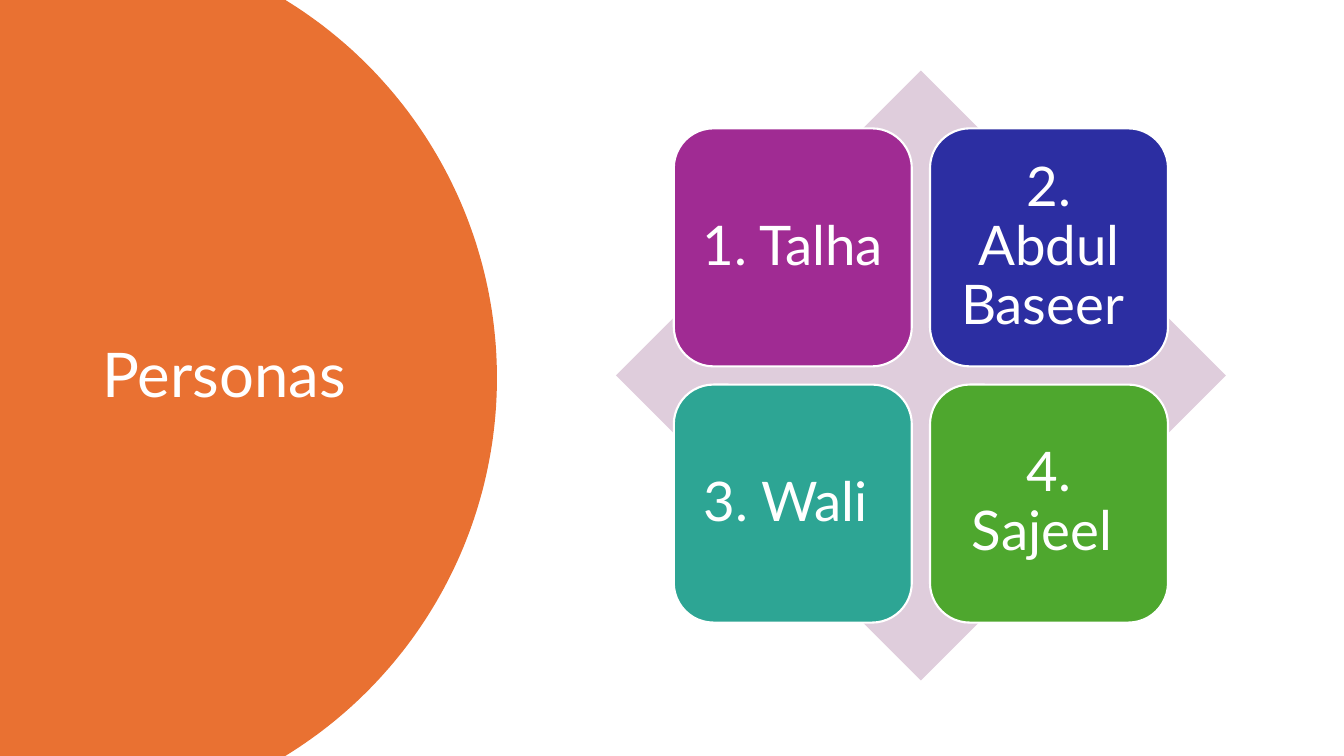
from math import asin, cos, sin

from pptx import Presentation
from pptx.dml.color import RGBColor
from pptx.enum.shapes import MSO_SHAPE
from pptx.enum.text import MSO_ANCHOR, PP_ALIGN
from pptx.util import Pt

TITLE = "Personas"
PERSONAS = [
    ("1. Talha", "purple"),
    ("2. Abdul Baseer ", "blue"),
    ("3. Wali ", "teal"),
    ("4. Sajeel ", "green"),
]
COLORS = {
    "orange": "E97132",
    "mauve": "DFCDDC",
    "purple": "A02B93",
    "blue": "2C2EA2",
    "teal": "2DA594",
    "green": "4EA72E",
    "white": "FFFFFF",
}
FONT = "Lato"
W, H = 960, 540
DISC_RADIUS, DISC_RIGHT, ARC_STEPS = 316.7, 355, 120
DIAMOND_X, DIAMOND_Y, DIAMOND = 440, 50.4, 435.6
CARD, CARD_STEP = 170, 183


def rgb(name):
    return RGBColor.from_string(COLORS[name])


def paint(shape, fill, line=None):
    shape.shadow.inherit = False
    shape.fill.solid()
    shape.fill.fore_color.rgb = rgb(fill)
    if line:
        shape.line.color.rgb = rgb(line)
        shape.line.width = Pt(1.5)
    else:
        shape.line.fill.background()


def put_text(shape, text, size, align=PP_ALIGN.LEFT, inset=(7.2, 3.6)):
    tf = shape.text_frame
    tf.word_wrap = True
    tf.vertical_anchor = MSO_ANCHOR.MIDDLE
    tf.margin_left = tf.margin_right = Pt(inset[0])
    tf.margin_top = tf.margin_bottom = Pt(inset[1])
    p = tf.paragraphs[0]
    p.alignment = align
    p.line_spacing = 0.9
    r = p.add_run()
    r.text = text
    r.font.name = FONT
    r.font.size = Pt(size)
    r.font.color.rgb = rgb("white")


def add_disc(shapes):
    """Draw the disc cut off by the left, top and bottom slide edges."""
    cx, cy = DISC_RIGHT - DISC_RADIUS, H / 2
    half = asin(cy / DISC_RADIUS)
    angles = [half * (2 * i / ARC_STEPS - 1) for i in range(ARC_STEPS + 1)]
    arc = [(Pt(cx + DISC_RADIUS * cos(a)), Pt(cy + DISC_RADIUS * sin(a))) for a in angles]
    builder = shapes.build_freeform(0, 0)
    builder.add_line_segments(arc + [(0, Pt(H))], close=True)
    disc = builder.convert_to_shape()
    paint(disc, "orange")
    return disc


def add_matrix(shapes):
    group = shapes.add_group_shape().shapes
    diamond = group.add_shape(MSO_SHAPE.DIAMOND, Pt(DIAMOND_X), Pt(DIAMOND_Y), Pt(DIAMOND), Pt(DIAMOND))
    paint(diamond, "mauve")
    margin = (DIAMOND - CARD_STEP - CARD) / 2
    for i, (name, color) in enumerate(PERSONAS):
        row, col = divmod(i, 2)
        x = DIAMOND_X + margin + col * CARD_STEP
        y = DIAMOND_Y + margin + row * CARD_STEP
        card = group.add_shape(MSO_SHAPE.ROUNDED_RECTANGLE, Pt(x), Pt(y), Pt(CARD), Pt(CARD))
        paint(card, color, line="white")
        put_text(card, name, 39, align=PP_ALIGN.CENTER, inset=(11.5, 11.5))


def main():
    prs = Presentation()
    prs.slide_width, prs.slide_height = Pt(W), Pt(H)
    s = prs.slides.add_slide(prs.slide_layouts[5])
    title = s.shapes.title
    title.left, title.top, title.width, title.height = Pt(66), Pt(50.4), Pt(232.6), Pt(438.5)
    put_text(title, TITLE, 44)
    title.element.addprevious(add_disc(s.shapes).element)
    add_matrix(s.shapes)
    prs.save("out.pptx")


if __name__ == "__main__":
    main()
